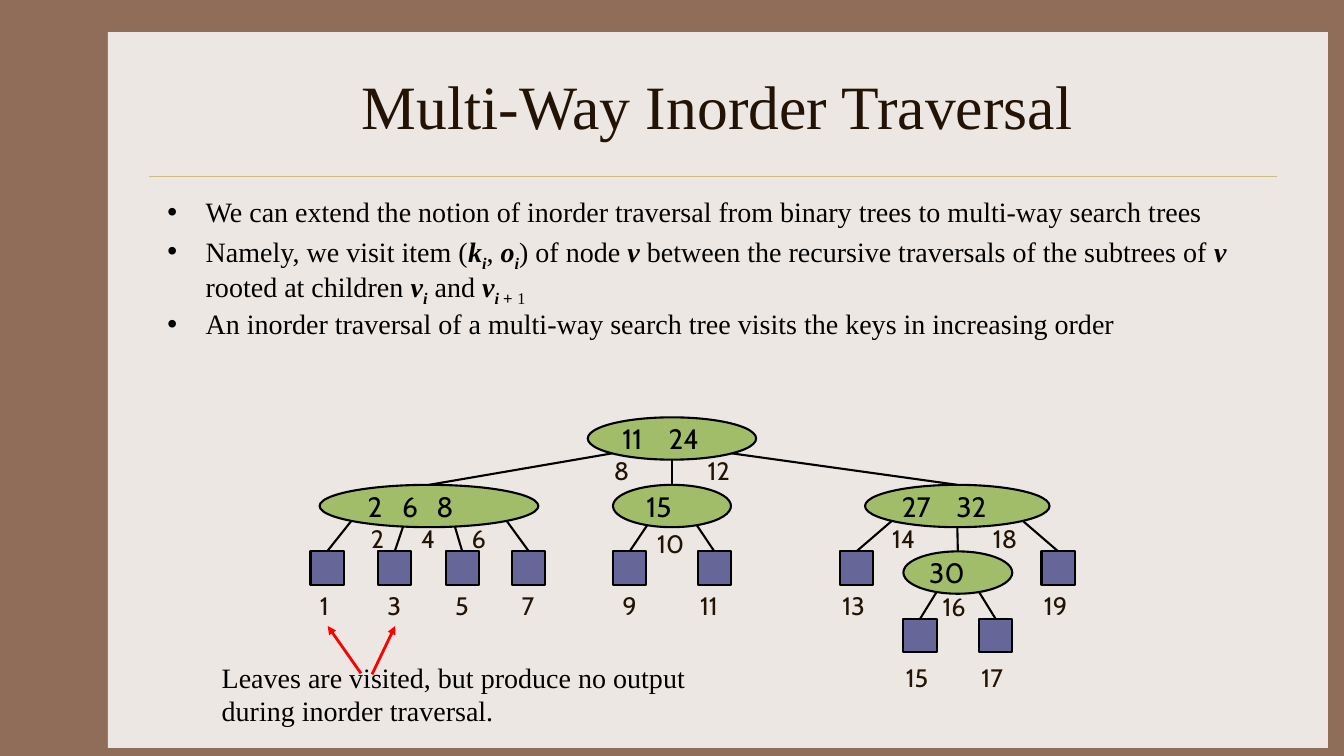
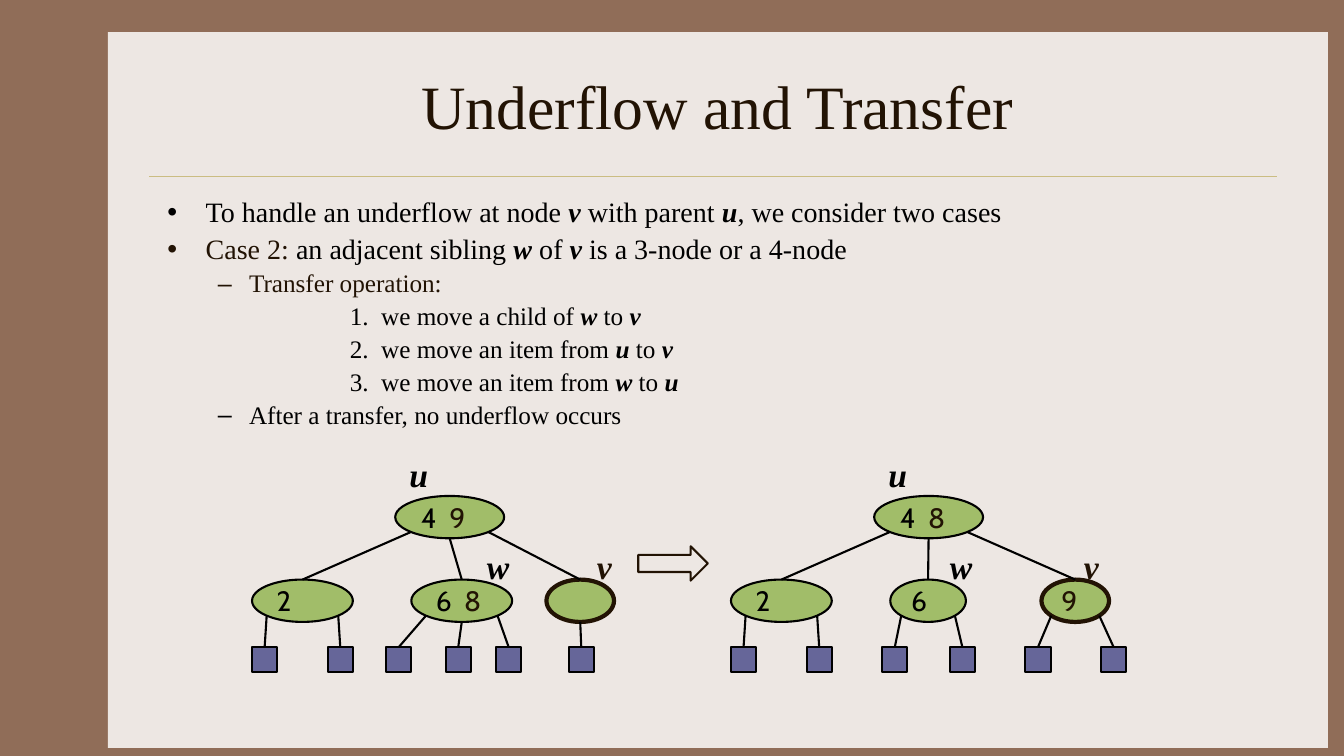
import math
import pptx
import pptx.util
import pptx.dml.color
import pptx.enum.shapes
import pptx.enum.text
import pptx.oxml.ns
from lxml import etree

Inches = pptx.util.Inches
Pt = pptx.util.Pt
SHAPE = pptx.enum.shapes.MSO_SHAPE
ALIGN = pptx.enum.text.PP_ALIGN
FIT = pptx.enum.text.MSO_AUTO_SIZE
qn = pptx.oxml.ns.qn

BROWN, CREAM, GOLD = "906D58", "EDE7E3", "CBBD83"
DARK, BLACK, RED = "221304", "000000", "FF0000"
GREEN, BLUE = "A1BD69", "666699"
SERIF, SANS = "Times New Roman", "Cabin"
NODE_H = 0.42
SHIFT = 4.75

STYLES = {
    "*": {"bold": True, "italic": True},
    "_": {"bold": True, "italic": True, "base": -25},
    "^": {"font": "Arial", "base": -25},
    "~": {"base": -25},
    "#": {"color": DARK},
}


def rgb(code):
    return pptx.dml.color.RGBColor.from_string(code)


def tag(parent, name, **attrs):
    return etree.SubElement(parent, qn(name), {k: str(v) for k, v in attrs.items()})


def write(para, text, size=20, font=SERIF, color=BLACK, bold=False, italic=False, base=0):
    run = para.add_run()
    run.text = text
    face = run.font
    face.size, face.name = Pt(size), font
    face.bold, face.italic = bold, italic
    face.color.rgb = rgb(color)
    if base:
        run.font._element.set("baseline", str(base * 1000))


def rich(para, text, **form):
    for part in text.split("|"):
        style = STYLES.get(part[:1])
        if style:
            write(para, part[1:], **{**form, **style})
        elif part:
            write(para, part, **form)


def bullet(para, text, mark="•", left=0.38, hang=0.38, level=0, size=20, first=False):
    para.level = level
    props = para._p.get_or_add_pPr()
    props.set("marL", str(Inches(left)))
    props.set("indent", str(-Inches(hang)))
    if mark == "1.":
        tag(props, "a:buAutoNum", type="arabicPeriod")
    else:
        tag(props, "a:buChar", char=mark)
    para.line_spacing = 0.9
    para.space_before = Pt(0 if first else round(0.23 * size, 1))
    rich(para, text, size=size)


def place(shape, x, y, w, h):
    shape.left, shape.top = Inches(x), Inches(y)
    shape.width, shape.height = Inches(w), Inches(h)


def form(slide, kind, x, y, w, h, fill=None, line=BLACK, width=1.5):
    shape = slide.shapes.add_shape(kind, Inches(x), Inches(y), Inches(w), Inches(h))
    shape.shadow.inherit = False
    if fill:
        shape.fill.solid()
        shape.fill.fore_color.rgb = rgb(fill)
    else:
        shape.fill.background()
    if line:
        shape.line.color.rgb = rgb(line)
        shape.line.width = Pt(width)
    else:
        shape.line.fill.background()
    return shape


def stroke(slide, start, end, color=BLACK, width=1.5, arrow=False):
    ends = [Inches(v) for v in (*start, *end)]
    line = slide.shapes.add_connector(pptx.enum.shapes.MSO_CONNECTOR.STRAIGHT, *ends)
    line.line.color.rgb = rgb(color)
    line.line.width = Pt(width)
    if arrow:
        tag(line.line._get_or_add_ln(), "a:tailEnd", type="triangle")
    tag(line.element.spPr, "a:effectLst")
    return line


def node(slide, keys, x, y, w, gap=0.28, pad=0.1, line=BLACK, width=1.5):
    shape = form(slide, SHAPE.OVAL, x, y, w, NODE_H, GREEN, line, width)
    if keys:
        frame = shape.text_frame
        frame.word_wrap = False
        frame.margin_left = Inches(pad)
        frame.vertical_anchor = pptx.enum.text.MSO_ANCHOR.MIDDLE
        para = frame.paragraphs[0]
        para.alignment = ALIGN.LEFT
        tabs = tag(para._p.get_or_add_pPr(), "a:tabLst")
        for step in range(1, keys.count("\t") + 1):
            tag(tabs, "a:tab", pos=Inches(step * gap), algn="l")
        rich(para, keys, font=SANS)
    return shape


def leaves(slide, lefts, y, size):
    return [form(slide, SHAPE.RECTANGLE, x, y, size, size, BLUE) for x in lefts]


def link(slide, top, kids, span=0.71):
    mid = (top.left + top.width / 2) / Inches(1)
    level = (top.top + top.height / 2) / Inches(1)
    half = top.width / Inches(2)
    for index, kid in enumerate(kids):
        side = span * (2 * index / (len(kids) - 1) - 1) if len(kids) > 1 else 0
        start = (mid + side * half, level + NODE_H / 2 * math.sqrt(1 - side * side))
        stroke(slide, start, start).end_connect(kid, 0)


def label(slide, text, x, y, w, h=0.4, wrap=False, inset=True, **style):
    box = slide.shapes.add_textbox(Inches(x), Inches(y), Inches(w), Inches(h))
    frame = box.text_frame
    frame.word_wrap = wrap
    frame.auto_size = FIT.SHAPE_TO_FIT_TEXT
    if not inset:
        frame.margin_left = frame.margin_right = 0
        frame.margin_top = frame.margin_bottom = 0
    write(frame.paragraphs[0], text, **style)


def count(slide, text, mid, y):
    wide = 0.2 + 0.14 * len(text)
    label(slide, text, mid - wide / 2, y, wide, size=18, font=SANS, color=DARK)


def dress(deck, slide):
    master = deck.slide_master
    master.background.fill.solid()
    master.background.fill.fore_color.rgb = rgb(BROWN)
    panel = form(slide, SHAPE.RECTANGLE, 1.07, 0.32, 12.1, 7.1, CREAM, None)
    rule = stroke(slide, (1.48, 1.75), (12.67, 1.75), GOLD, 0.25)
    for index, part in enumerate((panel, rule)):
        part.element.xpath(".//p:cNvPr")[0].set("id", str(20 + index))
        master.shapes.element.insert(2 + index, part.element)


def page(deck, title, items):
    slide = deck.slides.add_slide(deck.slide_layouts[1])
    head, body = slide.placeholders
    place(head, 1.56, 0.42, 11.11, 1.25)
    place(body, 1.56, 1.92, 11.11, 4.5)
    for frame in (head.text_frame, body.text_frame):
        frame.word_wrap = True
        frame.auto_size = FIT.NONE
    head.text_frame.vertical_anchor = pptx.enum.text.MSO_ANCHOR.MIDDLE
    para = head.text_frame.paragraphs[0]
    para.alignment = ALIGN.CENTER
    write(para, title, size=44, color=DARK)
    for index, (text, look) in enumerate(items):
        para = body.text_frame.add_paragraph() if index else body.text_frame.paragraphs[0]
        bullet(para, text, first=not index, **look)
    return slide


def inorder(slide):
    root = node(slide, "11\t24", 5.83, 4.14, 1.67, gap=0.46)
    west = node(slide, "2\t6\t8", 3.17, 4.81, 2.17, gap=0.34, pad=0.16)
    mid = node(slide, "15", 6.08, 4.81, 1.17, pad=0.16)
    east = node(slide, "27\t32", 8.58, 4.81, 1.83, gap=0.54)
    low = node(slide, "30", 8.96, 5.47, 1.08)
    row = leaves(slide, [3.08, 3.75, 4.42, 5.08, 6.08, 6.92, 8.33, 10.33], 5.47, 0.33)
    deep = leaves(slide, [8.96, 9.71], 6.14, 0.33)

    link(slide, root, [west, mid, east])
    link(slide, west, row[:4])
    link(slide, mid, row[4:6], 0.42)
    link(slide, east, [row[6], low, row[7]])
    link(slide, low, deep, 0.39)

    for kids, marks, y in (
        (row, ["1", "3", "5", "7", "9", "11", "13", "19"], 5.81),
        (deep, ["15", "17"], 6.52),
    ):
        for kid, mark in zip(kids, marks):
            count(slide, mark, (kid.left + kid.width / 2) / Inches(1), y)
    for mark, x, y in (
        ("8", 6.16, 4.47), ("12", 7.16, 4.47),
        ("2", 3.75, 5.14), ("4", 4.25, 5.14), ("6", 4.75, 5.14),
        ("10", 6.66, 5.19), ("14", 8.99, 5.14), ("18", 9.99, 5.14),
        ("16", 9.49, 5.82),
    ):
        count(slide, mark, x, y)

    stroke(slide, (3.58, 6.68), (3.25, 6.21), RED, 2, True)
    stroke(slide, (3.69, 6.69), (3.92, 6.21), RED, 2, True)
    label(slide, "Leaves are visited, but produce no output during inorder traversal.",
          2.1, 6.5, 5.15, 0.77, wrap=True)


def state(slide, shift, keys, inner, outer, names):
    root = node(slide, keys, 3.92 + shift, 4.92, 1.08)
    kids = []
    for text, x, wide, lefts, look in (
        ("2", 2.5, 1, [2.5, 3.25], {}),
        (*inner, {}),
        (*outer, {"line": DARK, "width": 3}),
    ):
        kid = node(slide, text, x + shift, 5.75, wide, **look)
        link(slide, kid, leaves(slide, [left + shift for left in lefts], 6.42, 0.25))
        kids.append(kid)
    link(slide, root, kids)
    for (text, y, color), x in zip(
        (("u", 4.5, BLACK), ("w", 5.42, BLACK), ("v", 5.42, DARK)), names
    ):
        label(slide, text, x + shift, y, 0.22, inset=False,
              size=24, color=color, bold=True, italic=True)


def transfer(slide):
    state(slide, 0, "4\t|#9", ("6\t|#8", 4.08, 1, [3.83, 4.42, 4.92]),
          ("", 5.42, 0.67, [5.64]), (4.06, 4.83, 5.92))
    form(slide, SHAPE.RIGHT_ARROW, 6.33, 5.42, 0.69, 0.34, line=DARK)
    state(slide, SHIFT, "4\t|#8", ("6", 4.08, 0.75, [4, 4.67]),
          ("#9", 5.58, 0.67, [5.42, 6.17]), (4.06, 4.67, 6))


def main():
    deck = pptx.Presentation()
    deck.slide_width, deck.slide_height = Inches(13.33), Inches(7.5)
    dash = {"mark": "–", "left": 0.81, "hang": 0.31, "level": 1, "size": 18}
    step = {**dash, "mark": "1.", "left": 2.12}

    first = page(deck, "Multi-Way Inorder Traversal", [
        ("We can extend the notion of inorder traversal from binary trees to multi-way search trees", {}),
        ("Namely, we visit item (|*k|_i|, |*o|_i|) of node |*v| between the recursive traversals"
         " of the subtrees of |*v| rooted at children |*v|_i| and |*v|_i |^+ |~1", {}),
        ("An inorder traversal of a multi-way search tree visits the keys in increasing order", {}),
    ])
    dress(deck, first)
    inorder(first)

    second = page(deck, "Underflow and Transfer", [
        ("To handle an underflow at node |*v |with parent |*u|, we consider two cases", {}),
        ("#Case 2:| an adjacent sibling |*w| of |*v| is a 3-node or a 4-node", {}),
        ("#Transfer operation:", dash),
        ("we move a child of |*w| to |*v", step),
        ("we move an item from |*u| to |*v", step),
        ("we move an item from |*w| to |*u", step),
        ("After a transfer, no underflow occurs", dash),
    ])
    transfer(second)
    deck.save("out.pptx")


if __name__ == "__main__":
    main()
